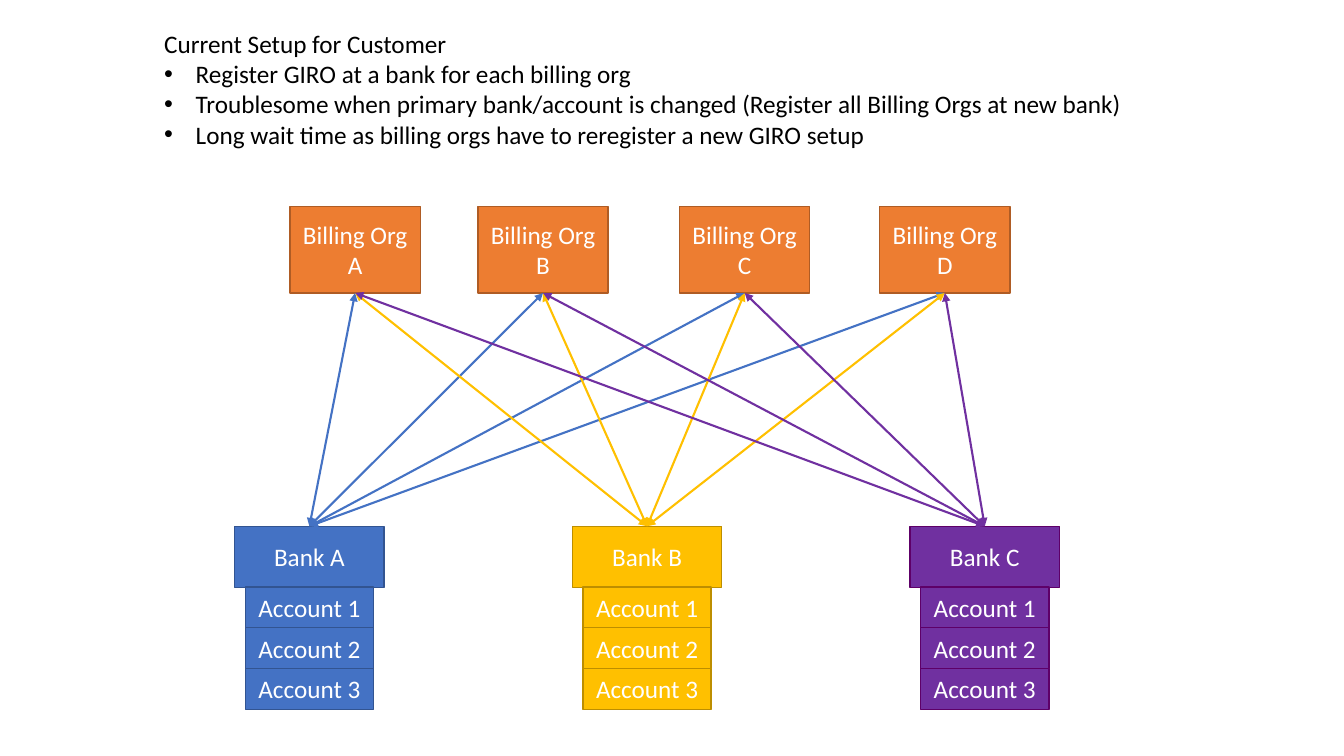
from lxml import etree
from pptx import Presentation
from pptx.dml.color import RGBColor
from pptx.enum.shapes import MSO_CONNECTOR, MSO_SHAPE
from pptx.enum.text import MSO_ANCHOR, PP_ALIGN
from pptx.oxml.ns import qn
from pptx.util import Pt

RECT = MSO_SHAPE.RECTANGLE
LINE = MSO_CONNECTOR.STRAIGHT
CENTER = PP_ALIGN.CENTER
MIDDLE = MSO_ANCHOR.MIDDLE
TOP, BOTTOM = 0, 2

TITLE = "Current Setup for Customer "
POINTS = [
    "Register GIRO at a bank for each billing org",
    "Troublesome when primary bank/account is changed (Register all Billing Orgs at new bank)",
    "Long wait time as billing orgs have to reregister a new GIRO setup",
]
ORGS = [("Billing Org A", 207.2), ("Billing Org B", 341.4),
        ("Billing Org C", 485.4), ("Billing Org D", 628.4)]
BANKS = [("Bank A", "blue"), ("Bank B", "gold"), ("Bank C", "purple")]
ACCOUNTS = ["Account 1", "Account 2", "Account 3"]

THEME = {
    "font": "Calibri", "size": 18, "text": "000000", "light": "FFFFFF",
    "orange": ("ED7D31", "AF5C24"), "blue": ("4472C4", "325491"),
    "gold": ("FFC000", "BD8E00"), "purple": ("7030A0", "5E0068"),
    "edge": 1, "arrow": 1.5,
}

ORG_TOP, ORG_W, ORG_H = 147.3, 93, 62
BANK_LEFT, BANK_TOP, BANK_STEP = 167.6, 375.9, 241.2
BANK_W, BANK_H = 106.8, 43.6
ACC_W, ACC_H, ACC_TOP, ACC_STEP = 91.6, 29.3, 419.2, 29.1
INDENT = 22.5


def rgb(code):
    return RGBColor.from_string(code)


def style(para, color):
    for run in para.runs:
        run.font.name = THEME["font"]
        run.font.size = Pt(THEME["size"])
        run.font.color.rgb = rgb(color)


def box(label, tone, left, top, width, height):
    shape = slide.shapes.add_shape(RECT, Pt(left), Pt(top), Pt(width), Pt(height))
    shape.shadow.inherit = False
    fill, edge = THEME[tone]
    shape.fill.solid()
    shape.fill.fore_color.rgb = rgb(fill)
    shape.line.color.rgb = rgb(edge)
    shape.line.width = Pt(THEME["edge"])
    frame = shape.text_frame
    frame.word_wrap = True
    frame.vertical_anchor = MIDDLE
    frame.text = label
    para = frame.paragraphs[0]
    para.alignment = CENTER
    style(para, THEME["light"])
    return shape


def link(bank, org, tone):
    arrow = slide.shapes.add_connector(LINE, 0, 0, 0, 0)
    arrow.begin_connect(bank, TOP)
    arrow.end_connect(org, BOTTOM)
    arrow.line.color.rgb = rgb(THEME[tone][0])
    arrow.line.width = Pt(THEME["arrow"])
    props = arrow.line._get_or_add_ln()
    for end in ("a:headEnd", "a:tailEnd"):
        etree.SubElement(props, qn(end), type="triangle")
    etree.SubElement(arrow._element.spPr, qn("a:effectLst"))


def notes():
    area = slide.shapes.add_textbox(Pt(110.2), Pt(16.6), Pt(738.8), Pt(94.4))
    frame = area.text_frame
    frame.word_wrap = True
    frame.text = "\n".join([TITLE] + POINTS)
    for para in frame.paragraphs:
        style(para, THEME["text"])
    for para in frame.paragraphs[1:]:
        props = para._p.get_or_add_pPr()
        props.set("marL", str(Pt(INDENT)))
        props.set("indent", str(-Pt(INDENT)))
        etree.SubElement(props, qn("a:buFont"), typeface="Arial")
        etree.SubElement(props, qn("a:buChar"), char="•")


deck = Presentation()
deck.slide_width, deck.slide_height = Pt(960), Pt(540)
slide = deck.slides.add_slide(deck.slide_layouts[6])

notes()
orgs = [box(name, "orange", left, ORG_TOP, ORG_W, ORG_H) for name, left in ORGS]
banks = []
for col, (name, tone) in enumerate(BANKS):
    left = BANK_LEFT + col * BANK_STEP
    banks.append((box(name, tone, left, BANK_TOP, BANK_W, BANK_H), tone))
    inset = left + (BANK_W - ACC_W) / 2
    for row, label in enumerate(ACCOUNTS):
        box(label, tone, inset, ACC_TOP + row * ACC_STEP, ACC_W, ACC_H)
for bank, tone in banks:
    for org in orgs:
        link(bank, org, tone)

deck.save("out.pptx")
